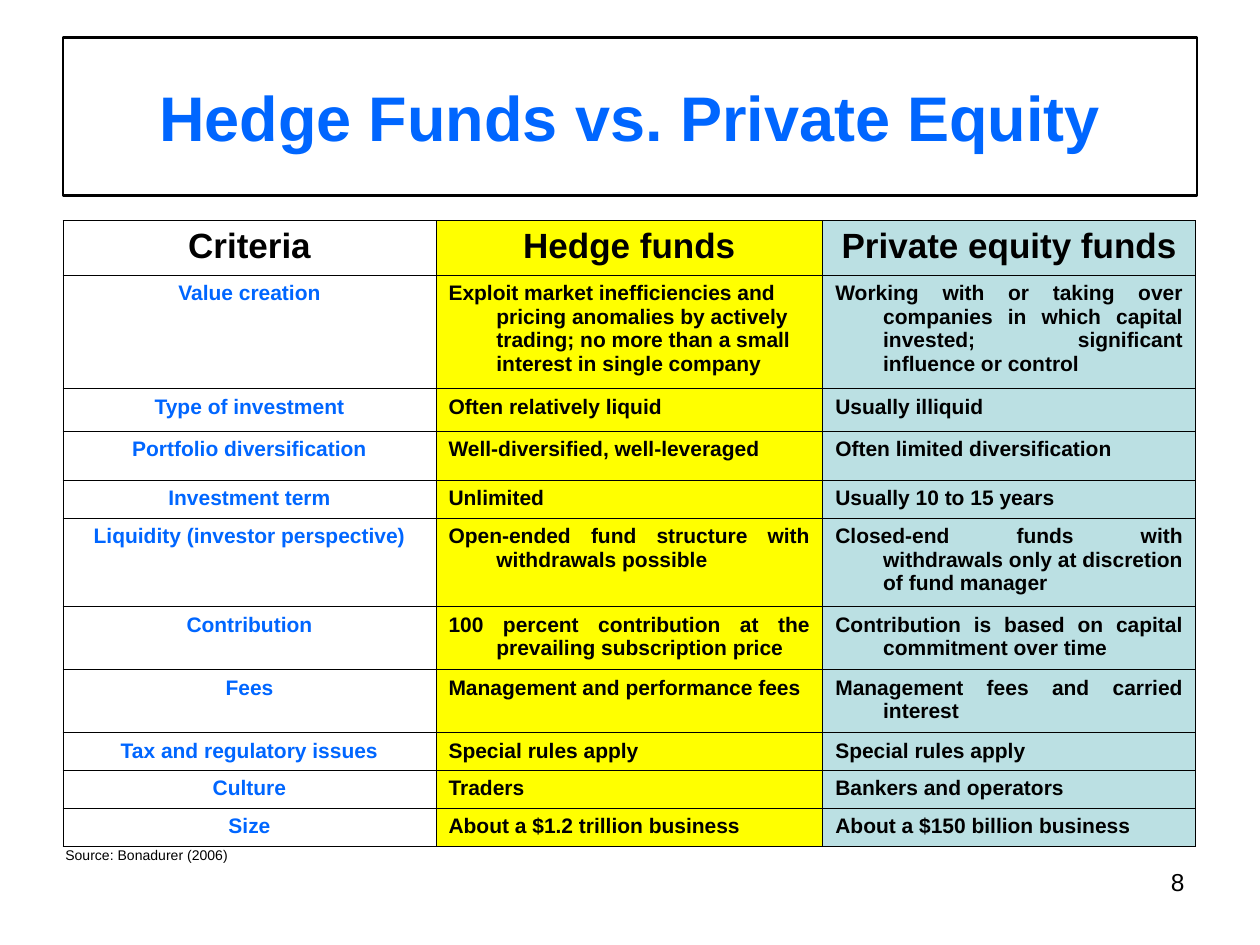
from lxml import etree
from pptx import Presentation
from pptx import util as u
from pptx.dml.color import RGBColor
from pptx.enum import text
from pptx.oxml.ns import qn

BLACK, BLUE, YELLOW, TEAL = "000000", "0066FF", "FFFF00", "BBE0E3"
LEFT, CENTER, RIGHT, JUSTIFY = (
    text.PP_ALIGN.LEFT, text.PP_ALIGN.CENTER,
    text.PP_ALIGN.RIGHT, text.PP_ALIGN.JUSTIFY)

HEADER = ("Criteria", "Hedge funds", "Private equity funds")
# Row height in grid rows, then the three cells
ROWS = [
    (9, "Value creation",
     "Exploit market inefficiencies and pricing anomalies by actively trading; "
     "no more than a small interest in single company",
     "Working with or taking over companies in which capital invested; "
     "significant influence or control"),
    (3.4, "Type of investment", "Often relatively liquid", "Usually illiquid"),
    (3.9, "Portfolio diversification", "Well-diversified, well-leveraged",
     "Often limited diversification"),
    (3, "Investment term", "Unlimited", "Usually 10 to 15 years"),
    (7, "Liquidity (investor perspective)",
     "Open-ended fund structure with withdrawals possible",
     "Closed-end funds with withdrawals only at discretion of fund manager"),
    (5, "Contribution",
     "100 percent contribution at the prevailing subscription price",
     "Contribution is based on capital commitment over time"),
    (5, "Fees", "Management and performance fees",
     "Management fees and carried interest"),
    (3, "Tax and regulatory issues", "Special rules apply", "Special rules apply"),
    (3, "Culture", "Traders", "Bankers and operators"),
    (3, "Size", "About a $1.2 trillion business", "About a $150 billion business"),
]


def color(value):
    return RGBColor.from_string(value)


class Deck:
    """Style and current slide; lengths are cells of a 100 x 75 grid."""
    font = "Arial"
    unit = u.Inches(0.1)
    hang = u.Inches(0.38)

    def __init__(self):
        self.prs = Presentation()
        self.prs.slide_width, self.prs.slide_height = self.grid(100, 75)
        self.s = self.prs.slides.add_slide(self.prs.slide_layouts[5])

    def grid(self, *cells):
        return [round(c * self.unit) for c in cells]

    def put_text(self, tf, words, size, ink=BLACK, align=LEFT, bold=False):
        tf.word_wrap = True
        p = tf.paragraphs[0]
        p.alignment = align
        r = p.add_run()
        r.text = words
        for key, value in dict(name=self.font, size=u.Pt(size), bold=bold).items():
            setattr(r.font, key, value)
        r.font.color.rgb = color(ink)
        return p

    def title(self, box, words):
        sp = self.s.shapes.title
        sp.left, sp.top, sp.width, sp.height = self.grid(*box)
        sp.line.color.rgb = color(BLACK)
        sp.line.width = u.Pt(1.5)
        tf = sp.text_frame
        tf.auto_size = text.MSO_AUTO_SIZE.NONE
        tf.vertical_anchor = text.MSO_ANCHOR.MIDDLE
        self.put_text(tf, words, 36, BLUE, CENTER, True)

    def label(self, box, words, size, align=LEFT):
        sp = self.s.shapes.add_textbox(*self.grid(*box))
        self.put_text(sp.text_frame, words, size, align=align)

    def table_cell(self, cell, words, fill, style):
        p = self.put_text(cell.text_frame, words, bold=True, **style)
        # Hanging indent
        pPr = p._p.get_or_add_pPr()
        pPr.set("marL", str(self.hang))
        pPr.set("indent", str(-self.hang))
        if fill:
            cell.fill.solid()
            cell.fill.fore_color.rgb = color(fill)
        else:
            cell.fill.background()
        # Borders come before the fill in the cell properties
        tcPr = cell._tc.get_or_add_tcPr()
        for i, side in enumerate(("lnL", "lnR", "lnT", "lnB")):
            ln = etree.Element(qn("a:" + side), w=str(u.Pt(0.45)))
            solid = etree.SubElement(ln, qn("a:solidFill"))
            etree.SubElement(solid, qn("a:srgbClr"), val=BLACK)
            tcPr.insert(i, ln)

    def table(self, box, widths, heights, rows, fills, style_of):
        frame = self.s.shapes.add_table(len(rows), len(widths), *self.grid(*box))
        table = frame.table
        table.first_row = table.horz_banding = False
        for col, width in zip(table.columns, self.grid(*widths)):
            col.width = width
        for row, height in zip(table.rows, self.grid(*heights)):
            row.height = height
        for i, row in enumerate(rows):
            for j, words in enumerate(row):
                self.table_cell(table.cell(i, j), words, fills[j], style_of(i, j))


def cell_style(row, col):
    if row == 0:
        return dict(size=20, align=CENTER)
    if col == 0:
        return dict(size=12, ink=BLUE, align=CENTER)
    return dict(size=12, align=LEFT if (row, col) == (1, 1) else JUSTIFY)


def main():
    deck = Deck()
    # Page number and title
    deck.label((71.7, 68.3, 23.3, 5.2), "8", 14, RIGHT)
    deck.title((5, 3, 90, 12.5), "Hedge Funds vs. Private Equity")
    # Comparison table
    deck.table((5, 17.5, 90, 49.7), (29.6, 30.7, 29.6),
               [4.3] + [row[0] for row in ROWS],
               [HEADER] + [row[1:] for row in ROWS],
               (None, YELLOW, TEAL), cell_style)
    # Source line
    deck.label((4.2, 66.7, 28.1, 2.4), "Source: Bonadurer (2006)", 8)
    deck.prs.save("out.pptx")


if __name__ == "__main__":
    main()
